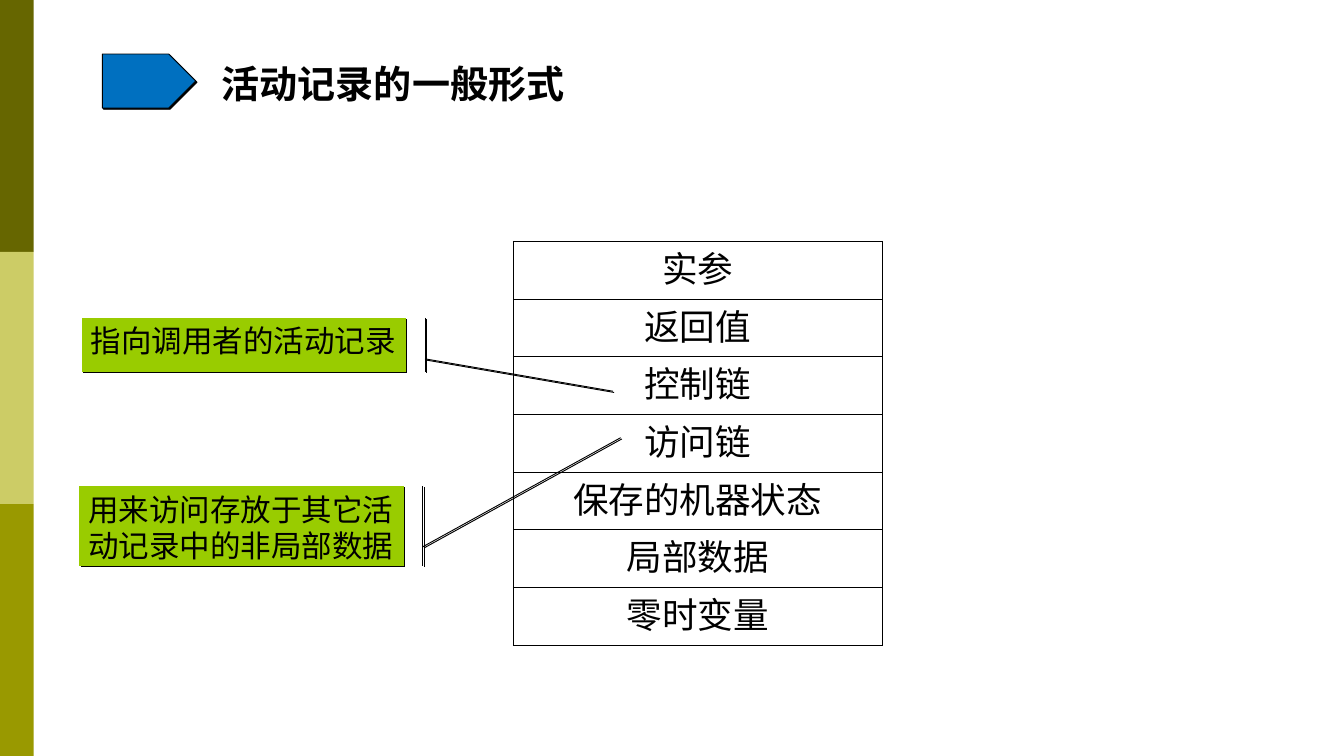
"""Build a slide showing the general layout of an activation record."""
from dataclasses import dataclass

from lxml import etree
from pptx import Presentation
from pptx.dml.color import RGBColor
from pptx.enum.shapes import MSO_SHAPE
from pptx.enum.text import MSO_ANCHOR, MSO_AUTO_SIZE, PP_ALIGN
from pptx.oxml import parse_xml
from pptx.oxml.ns import nsdecls, qn
from pptx.util import Pt

RECTANGLE = MSO_SHAPE.RECTANGLE
ARROW = MSO_SHAPE.RIGHT_ARROW
CALLOUT = MSO_SHAPE.LINE_CALLOUT_1_ACCENT_BAR
TOP, MIDDLE = MSO_ANCHOR.TOP, MSO_ANCHOR.MIDDLE
LEFT, CENTER = PP_ALIGN.LEFT, PP_ALIGN.CENTER
GROW = MSO_AUTO_SIZE.SHAPE_TO_FIT_TEXT


@dataclass(frozen=True)
class Theme:
    ink: str = "000000"
    bands: tuple = ("666600", "CCCC66", "999900")
    arrow: str = "0070C0"
    callout: str = "99CC00"
    title_font: str = "Noto Sans CJK SC"
    body_font: str = "DejaVu Sans"
    title_size: int = 30
    row_size: int = 28
    callout_size: int = 24


theme = Theme()


def style_text(paragraph, font_name, size, bold=False):
    for run in paragraph.runs:
        run.font.name = font_name
        run.font.size = Pt(size)
        run.font.bold = bold
        run.font.color.rgb = RGBColor.from_string(theme.ink)
        east_asian = etree.SubElement(run.font._element, qn("a:ea"))
        east_asian.set("typeface", font_name)


def style_shape(shape, fill, outlined=True):
    shape.shadow.inherit = False
    shape.fill.solid()
    shape.fill.fore_color.rgb = RGBColor.from_string(fill)
    if not outlined:
        shape.line.fill.background()
        return
    shape.line.color.rgb = RGBColor.from_string(theme.ink)
    shape.line.width = Pt(0.75)
    effects = shape._element.spPr.find(qn("a:effectLst"))
    effects.append(parse_xml(
        f'<a:outerShdw {nsdecls("a")} dist="{Pt(1.4)}" dir="2700000" algn="ctr" '
        f'rotWithShape="0"><a:srgbClr val="{theme.ink}"/></a:outerShdw>'))


presentation = Presentation()
presentation.slide_width = Pt(1057.68)
presentation.slide_height = Pt(594.72)
slide = presentation.slides.add_slide(presentation.slide_layouts[6])

band_height = 594.72 / 3
for index, color in enumerate(theme.bands):
    band = slide.shapes.add_shape(
        RECTANGLE, Pt(0), Pt(index * band_height), Pt(26.6), Pt(band_height))
    style_shape(band, color, outlined=False)

heading = slide.shapes.add_group_shape()
title = heading.shapes.add_textbox(Pt(174.4), Pt(44), Pt(304), Pt(37.5))
title_frame = title.text_frame
title_frame.word_wrap = True
title_frame.auto_size = GROW
title_frame.margin_left = title_frame.margin_right = Pt(0)
title_frame.margin_top = title_frame.margin_bottom = Pt(0)
title_frame.text = "活动记录的一般形式"
title_frame.paragraphs[0].line_spacing = Pt(39.6)
style_text(title_frame.paragraphs[0], theme.title_font, theme.title_size, bold=True)

arrow = heading.shapes.add_shape(ARROW, Pt(80.6), Pt(42.5), Pt(73.5), Pt(42.5))
arrow.adjustments[0] = 1
arrow.adjustments[1] = 0.5
style_shape(arrow, theme.arrow)

fields = ["实参", "返回值", "控制链", "访问链", "保存的机器状态", "局部数据", "零时变量"]
row_height = 45.36
record = slide.shapes.add_table(
    len(fields), 1, Pt(404), Pt(190), Pt(290.2), Pt(row_height * len(fields))).table
record.first_row = False
record.horz_banding = False
for row, field in enumerate(fields):
    record.rows[row].height = Pt(row_height)
    cell = record.cell(row, 0)
    cell.text_frame.text = field
    cell.vertical_anchor = MIDDLE
    paragraph = cell.text_frame.paragraphs[0]
    paragraph.alignment = CENTER
    style_text(paragraph, theme.body_font, theme.row_size)
    properties = cell._tc.get_or_add_tcPr()
    for side in ("lnL", "lnR", "lnT", "lnB"):
        properties.append(parse_xml(
            f'<a:{side} {nsdecls("a")} w="{Pt(1)}"><a:solidFill>'
            f'<a:srgbClr val="{theme.ink}"/></a:solidFill></a:{side}>'))
    cell.fill.background()

callouts = [
    ("指向调用者的活动记录", 64.2, 250, 42.5, (0.76, 1.06, 1.36, 1.64)),
    ("用来访问存放于其它活动记录中的非局部数据", 62.6, 382.5, 62.6,
     (0.76, 1.06, -0.61, 1.67)),
]
for text, left, top, height, pointer in callouts:
    callout = slide.shapes.add_shape(CALLOUT, Pt(left), Pt(top), Pt(255), Pt(height))
    for index, value in enumerate(pointer):
        callout.adjustments[index] = value
    style_shape(callout, theme.callout)
    callout.text_frame.word_wrap = True
    callout.text_frame.vertical_anchor = TOP
    callout.text_frame.text = text
    paragraph = callout.text_frame.paragraphs[0]
    paragraph.alignment = LEFT
    style_text(paragraph, theme.body_font, theme.callout_size)

presentation.save("out.pptx")
